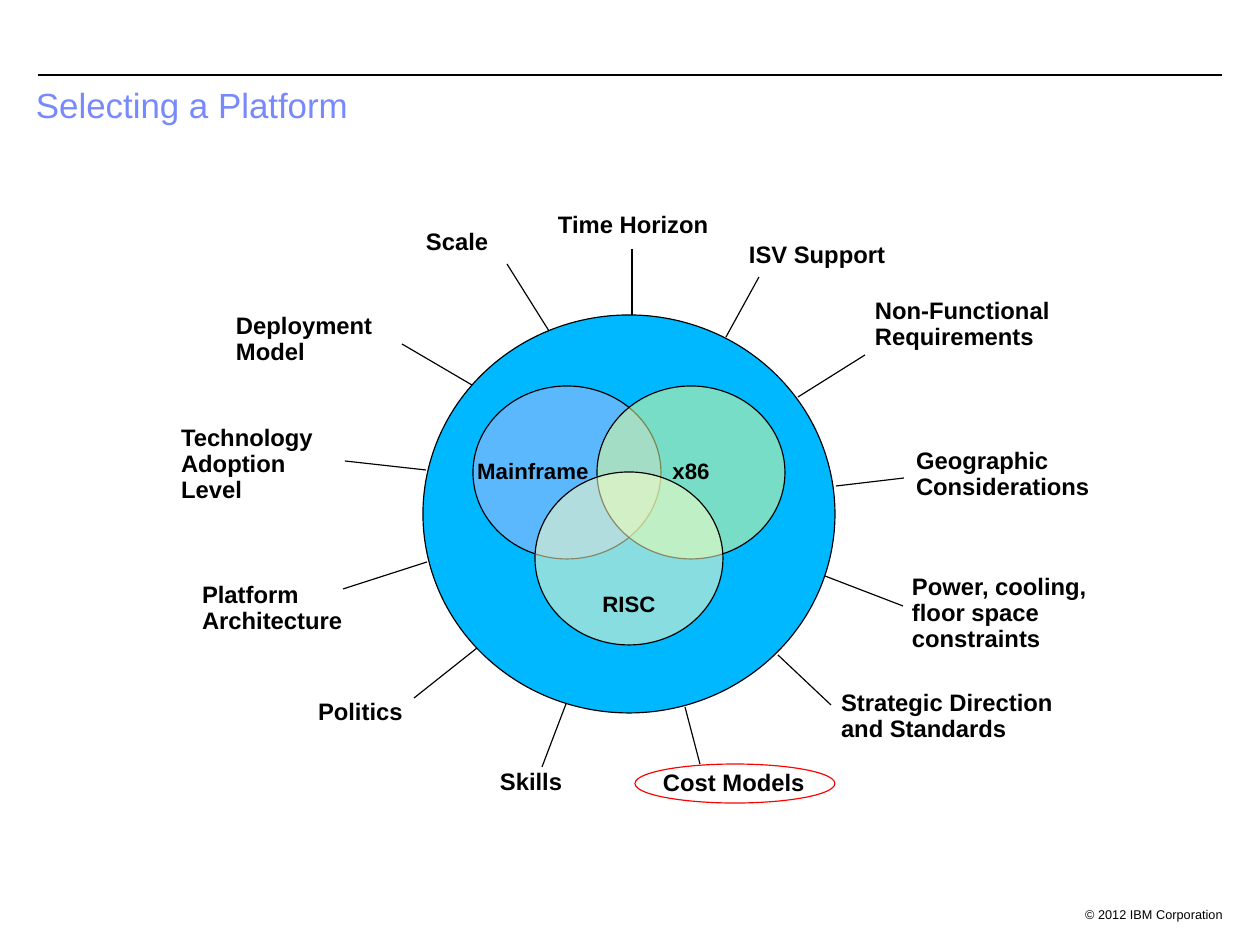
import pptx
import pptx.util
import pptx.dml.color
import pptx.enum.shapes
import pptx.enum.text
import pptx.oxml.ns
import lxml.etree

PX = 8000  # EMU per px
SLIDE = (1260, 945)
COLORS = {
    "ink": "000000", "title": "7889FB", "factors": "00B8FF", "mainframe": "AFB8FD",
    "x86": "E3FF95", "risc": "FFFFC5", "highlight": "FF0000",
}
ALIGN = pptx.enum.text.PP_ALIGN
ANCHOR = pptx.enum.text.MSO_ANCHOR

TITLE = "Selecting a Platform"
TITLE_BOX = (25, 82, 1195, 86)
COPYRIGHT = "© 2012 IBM Corporation"
COPYRIGHT_BOX = (1046, 901, 188, 25)
HEADER_RULE = (38, 75, 1222, 75)
FACTOR_CIRCLE = (423, 315, 412, 398)
COST_RING = (635, 764, 200, 39)

# text, left, top, fill, anchor, right inset
PLATFORM_SIZE = (188, 173)
PLATFORMS = [
    ("Mainframe", 473, 386, "mainframe", ANCHOR.MIDDLE, 70),
    ("x86", 597, 386, "x86", ANCHOR.MIDDLE, 2),
    ("RISC", 535, 472, "risc", ANCHOR.BOTTOM, 2),
]

# text, (left, top, width), spoke from label to circle
FACTORS = [
    ("Time Horizon", (555, 210, 159), (632, 249, 632, 315)),
    ("ISV Support", (746, 240, 145), (759, 277, 726, 337)),
    ("Non-Functional\nRequirements", (872, 296, 187), (865, 355, 798, 397)),
    ("Geographic\nConsiderations", (913, 446, 183), (904, 478, 836, 486)),
    ("Power, cooling,\nfloor space\nconstraints", (909, 572, 205), (903, 606, 825, 576)),
    ("Strategic Direction\nand Standards", (838, 688, 222), (831, 705, 778, 655)),
    ("Cost Models", (660, 768, 153), (700, 764, 685, 707)),
    ("Skills", (497, 767, 70), (542, 767, 566, 704)),
    ("Politics", (315, 697, 93), (414, 698, 477, 648)),
    ("Platform\nArchitecture", (199, 580, 150), (343, 589, 427, 562)),
    ("Technology\nAdoption\nLevel", (178, 423, 141), (345, 461, 426, 470)),
    ("Deployment\nModel", (233, 311, 145), (402, 344, 472, 385)),
    ("Scale", (423, 227, 70), (507, 264, 549, 331)),
]
LINE_HEIGHT = 26
LABEL_INSET = 3


def emu(lengths):
    return [length * PX for length in lengths]


def rgb(name):
    return pptx.dml.color.RGBColor.from_string(COLORS[name])


def write(shape, text, size, color="ink", bold=False, align=ALIGN.LEFT,
          anchor=ANCHOR.TOP, insets=(11, 6, 11, 6), wrap=True, spacing=0.9):
    """Fill a shape with one paragraph per line; insets are left, top, right, bottom."""
    frame = shape.text_frame
    frame.text = text
    frame.word_wrap = wrap
    frame.vertical_anchor = anchor
    (frame.margin_left, frame.margin_top,
     frame.margin_right, frame.margin_bottom) = emu(insets)
    for para in frame.paragraphs:
        para.alignment = align
        para.line_spacing = spacing
        for span in para.runs:
            span.font.name = "Arial"
            span.font.size = pptx.util.Pt(size)
            span.font.bold = bold
            span.font.color.rgb = rgb(color)


def add_line(page, ends):
    line = page.shapes.add_connector(
        pptx.enum.shapes.MSO_CONNECTOR.STRAIGHT, *emu(ends))
    line.line.color.rgb = rgb("ink")
    line.line.width = pptx.util.Pt(0.75)
    properties = line._element.spPr
    lxml.etree.SubElement(properties, pptx.oxml.ns.qn("a:effectLst"))


def add_ellipse(shapes, box, fill=None, outline="ink", opacity=100):
    ellipse = shapes.add_shape(pptx.enum.shapes.MSO_SHAPE.OVAL, *emu(box))
    ellipse.shadow.inherit = False
    ellipse.line.color.rgb = rgb(outline)
    ellipse.line.width = pptx.util.Pt(0.75)
    if fill is None:
        ellipse.fill.background()
        return ellipse
    ellipse.fill.solid()
    ellipse.fill.fore_color.rgb = rgb(fill)
    if opacity < 100:
        color = ellipse._element.spPr.find(".//" + pptx.oxml.ns.qn("a:srgbClr"))
        alpha = lxml.etree.SubElement(color, pptx.oxml.ns.qn("a:alpha"))
        alpha.set("val", str(opacity * 1000))
    return ellipse


def main():
    deck = pptx.Presentation()
    deck.slide_width, deck.slide_height = emu(SLIDE)
    page = deck.slides.add_slide(deck.slide_layouts[5])

    title = page.shapes.title
    title.left, title.top, title.width, title.height = emu(TITLE_BOX)
    write(title, TITLE, 22, color="title")
    add_line(page, HEADER_RULE)
    footer = page.shapes.add_textbox(*emu(COPYRIGHT_BOX))
    write(footer, COPYRIGHT, 8, align=ALIGN.RIGHT, spacing=1.0)

    add_ellipse(page.shapes, FACTOR_CIRCLE, fill="factors")
    platforms = page.shapes.add_group_shape()
    for text, left, top, fill, anchor, right_inset in PLATFORMS:
        circle = add_ellipse(platforms.shapes, (left, top, *PLATFORM_SIZE),
                             fill=fill, opacity=53)
        write(circle, text, 14, bold=True, align=ALIGN.CENTER, anchor=anchor,
              insets=(2, 2, right_inset, 2), wrap=False)

    for text, place, spoke in FACTORS:
        add_line(page, spoke)
        height = LINE_HEIGHT * len(text.split("\n")) + 2 * LABEL_INSET
        label = page.shapes.add_textbox(*emu((*place, height)))
        write(label, text, 15, bold=True, insets=(LABEL_INSET,) * 4, wrap=False)
    add_ellipse(page.shapes, COST_RING, outline="highlight")

    deck.save("out.pptx")


if __name__ == "__main__":
    main()
